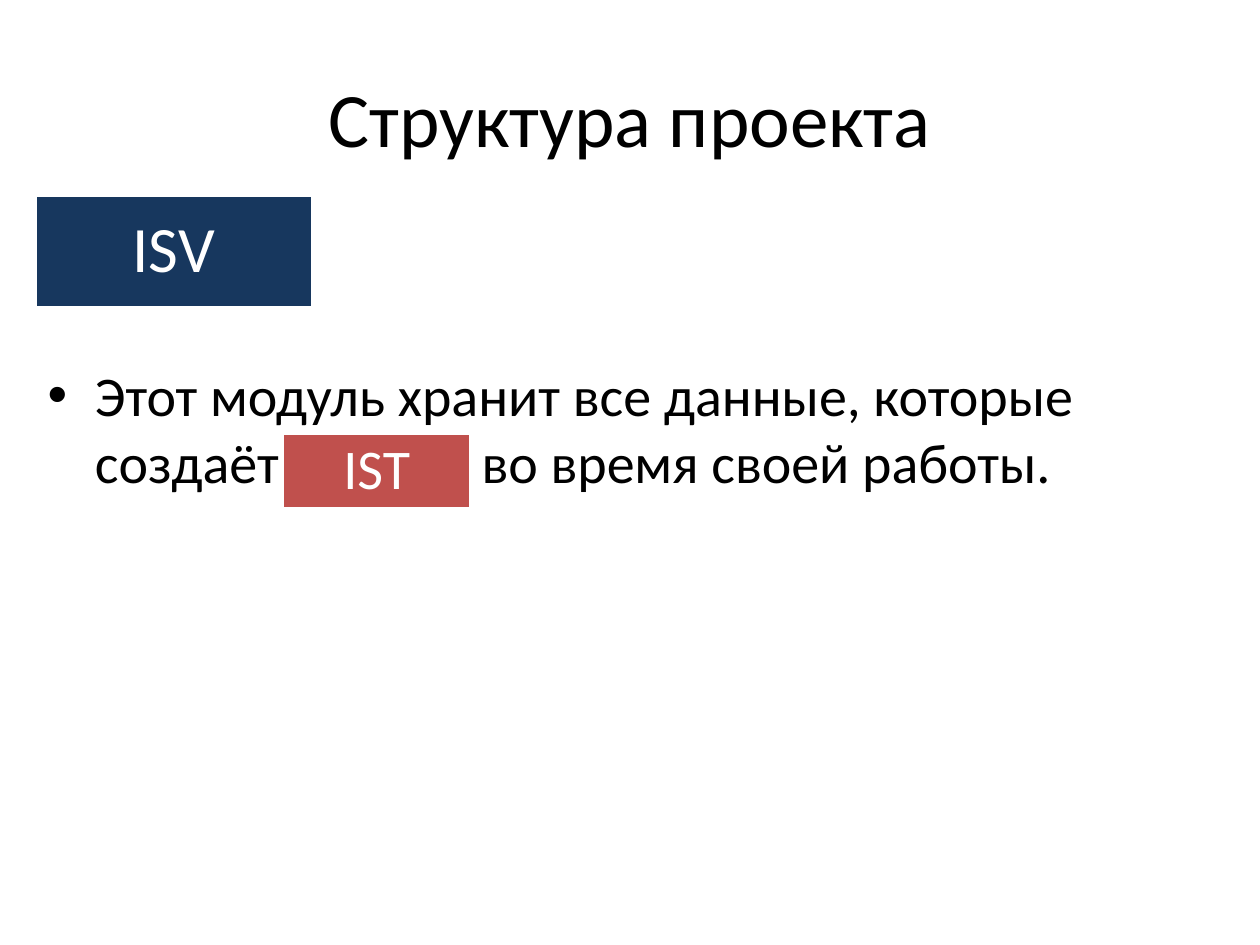
from pptx import Presentation
from pptx.dml.color import RGBColor
from pptx.enum.shapes import MSO_SHAPE
from pptx.enum.text import MSO_ANCHOR as ANCHOR, PP_ALIGN as ALIGN
from pptx.util import Pt
from lxml.etree import SubElement
from pptx.oxml.ns import qn

COLORS = {"text": "000000", "white": "FFFFFF", "red": "C0504D", "navy": "17375E"}


def add_run(p, text, size, color):
    """Append a Calibri run to a paragraph and return it."""
    r = p.add_run()
    r.text = text
    for name, value in {"name": "Calibri", "size": Pt(size)}.items():
        setattr(r.font, name, value)
    r.font.color.rgb = RGBColor.from_string(COLORS[color])
    return r


def format_frame(sp, **formats):
    """Set text frame attributes and return the first paragraph."""
    tf = sp.text_frame
    for name, value in {"word_wrap": True, **formats}.items():
        setattr(tf, name, value)
    return tf.paragraphs[0]


prs = Presentation()
prs.slide_width, prs.slide_height = Pt(720), Pt(540)
s = prs.slides.add_slide(prs.slide_layouts[6])

# Title
sp = s.shapes.add_textbox(Pt(36), Pt(21.6), Pt(648), Pt(90))
p = format_frame(sp, vertical_anchor=ANCHOR.MIDDLE)
p.alignment = ALIGN.CENTER
add_run(p, "Структура проекта", 44, "text")

# Bulleted sentence with a gap for the inline module label
sp = s.shapes.add_textbox(Pt(20.16), Pt(202.3), Pt(648), Pt(356.4))
p = format_frame(sp, vertical_anchor=ANCHOR.TOP)
p.space_before = Pt(6.4)
pPr = p._p.get_or_add_pPr()
pPr.set("marL", str(Pt(27)))
pPr.set("indent", str(-Pt(27)))
SubElement(pPr, qn("a:buFont"), typeface="Arial")
SubElement(pPr, qn("a:buChar"), char="•")
add_run(p, "Этот модуль хранит все данные, которые создаёт", 32, "text")
gap = add_run(p, " ", 32, "text")
gap.font._element.set("spc", "10850")  # widens one space to the label width
add_run(p, "во время своей работы.", 32, "text")

# Module labels: text, left, top, width, height, font size, fill
modules = [
    ("IST", 161.28, 247.68, 108, 43.2, 32, "red"),
    ("ISV", 20.16, 111.6, 158.4, 64.08, 37, "navy"),
]
margins = {f"margin_{side}": Pt(10.8) for side in ("left", "top", "right", "bottom")}
for label, left, top, width, height, size, fill in modules:
    sp = s.shapes.add_shape(MSO_SHAPE.RECTANGLE, Pt(left), Pt(top), Pt(width), Pt(height))
    sp.shadow.inherit = False
    sp.fill.solid()
    sp.fill.fore_color.rgb = RGBColor.from_string(COLORS[fill])
    sp.line.color.rgb = RGBColor.from_string(COLORS["white"])
    sp.line.width = Pt(2)
    p = format_frame(sp, vertical_anchor=ANCHOR.MIDDLE, **margins)
    p.alignment = ALIGN.CENTER
    p.line_spacing = 0.9
    add_run(p, label, size, "white")

prs.save("out.pptx")
